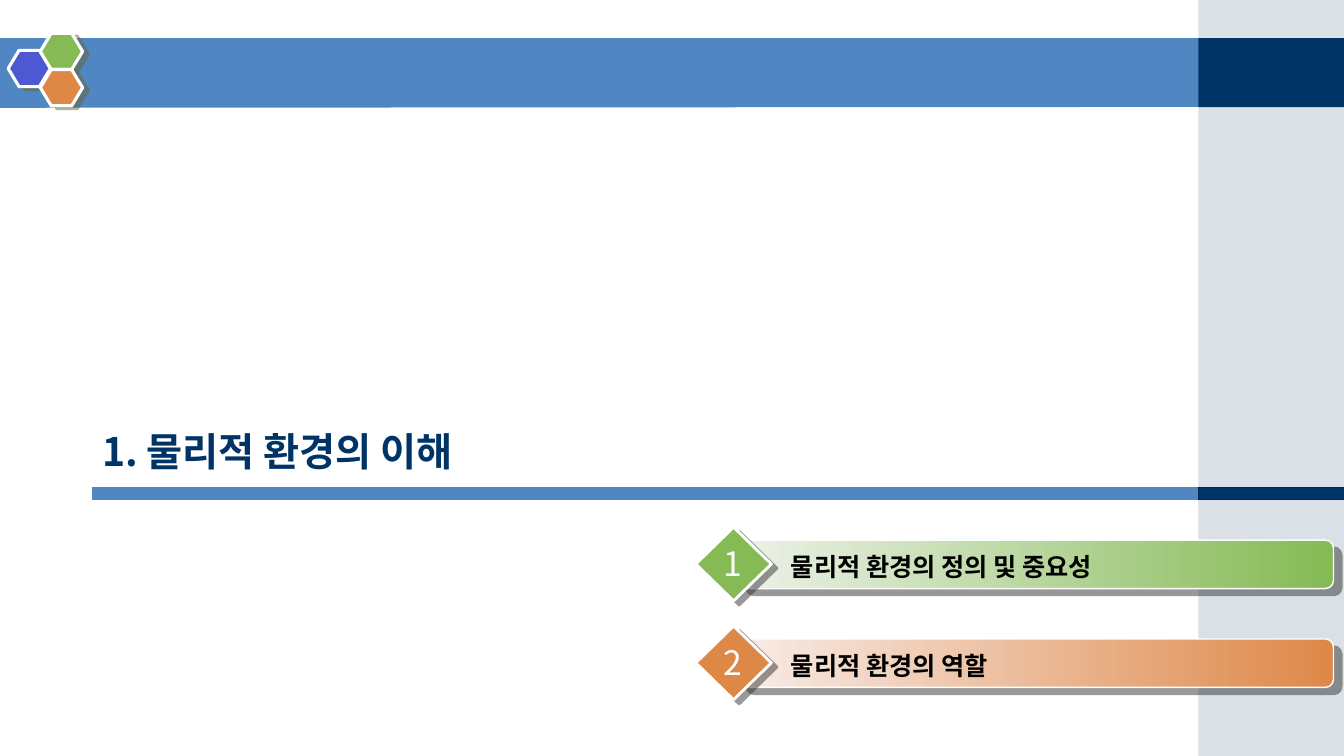
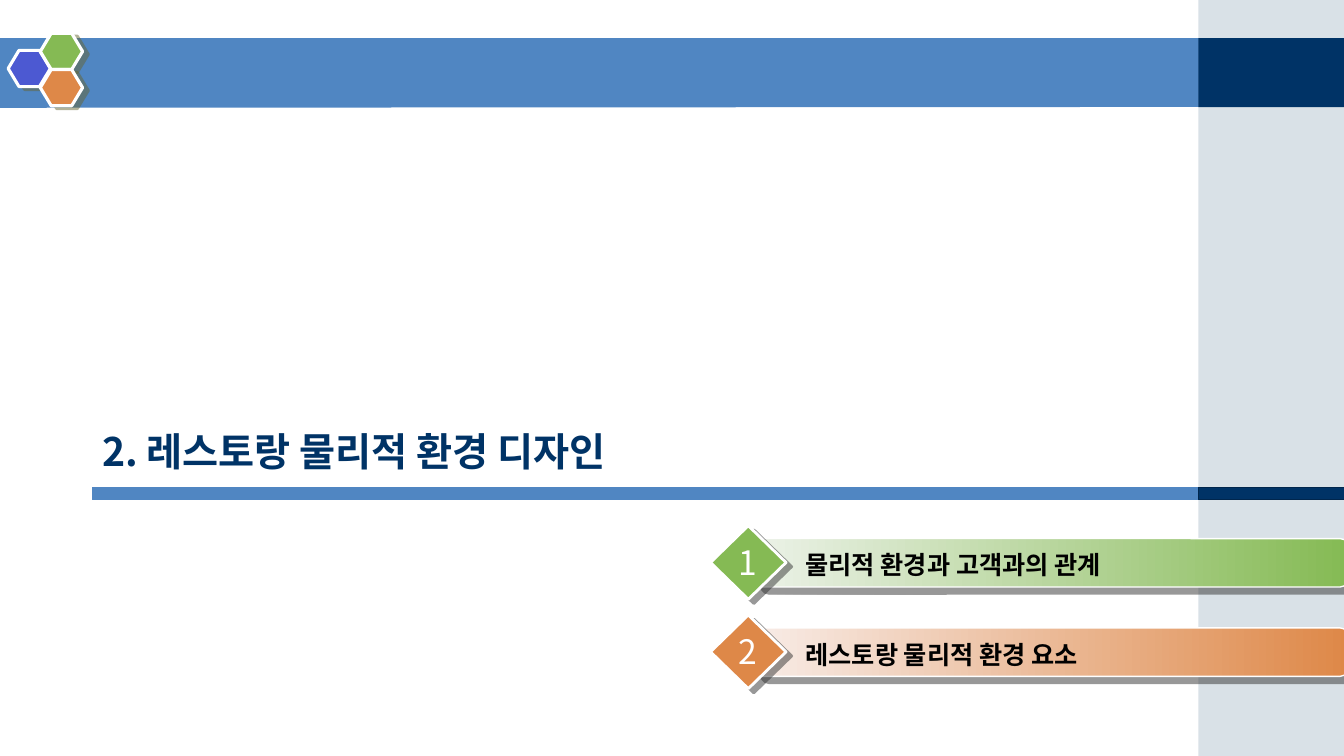
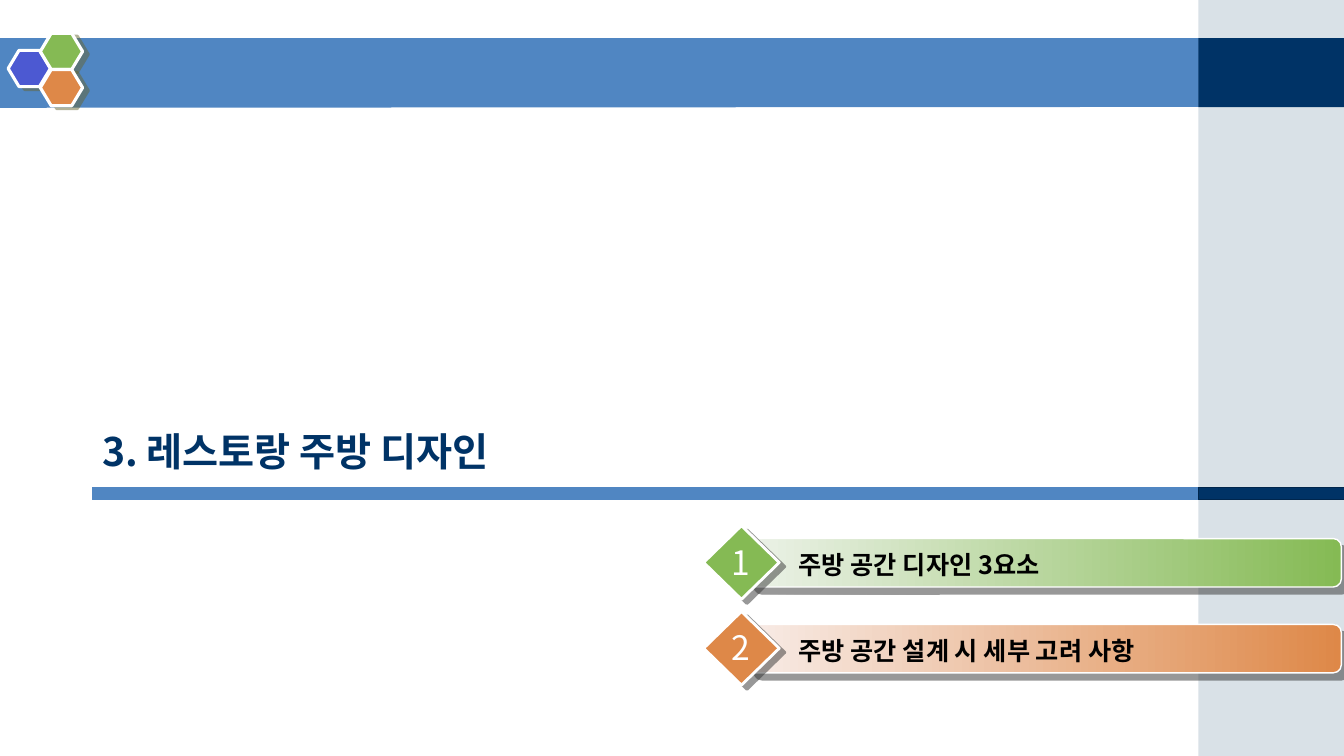
import pptx
import pptx.util
import pptx.dml.color
import pptx.enum.shapes
import pptx.enum.text
import pptx.oxml.ns
from lxml import etree

Pt = pptx.util.Pt
SHAPE = pptx.enum.shapes.MSO_SHAPE
ALIGN = pptx.enum.text.PP_ALIGN
ANCHOR = pptx.enum.text.MSO_ANCHOR
AUTO_SIZE = pptx.enum.text.MSO_AUTO_SIZE
qn = pptx.oxml.ns.qn

WIDTH, HEIGHT = 960, 540
SIDE_LEFT = 856
FONT = "Noto Sans CJK KR"
COLORS = {
    "blue": "5086C2",
    "navy": "003366",
    "navy_edge": "00264D",
    "side": "A0B5C4",
    "violet": "4C59D2",
    "green": "85BA54",
    "green_pale": "ECF2E8",
    "orange": "DE8848",
    "orange_pale": "F8ECE7",
    "white": "FFFFFF",
    "black": "000000",
    "hexagon_shadow": "666633",
    "item_shadow": "333333",
}

# title, left and top of the first diamond, distance between items, items
SECTIONS = [
    ("1. 물리적 환경의 이해", 497, 376.6, 70.6,
     ["물리적 환경의 정의 및 중요성", "물리적 환경의 역할"]),
    ("2. 레스토랑 물리적 환경 디자인", 507.5, 375.5, 63.8,
     ["물리적 환경과 고객과의 관계", "레스토랑 물리적 환경 요소"]),
    ("3. 레스토랑 주방 디자인", 502.6, 375.5, 61.3,
     ["주방 공간 디자인 3요소", "주방 공간 설계 시 세부 고려 사항"]),
]


def rgb(name):
    return pptx.dml.color.RGBColor.from_string(COLORS[name])


class SectionDeck:
    """Holds the style and the slide being drawn; lengths are in points."""

    def __init__(self):
        self.deck = pptx.Presentation()
        self.deck.slide_width, self.deck.slide_height = Pt(WIDTH), Pt(HEIGHT)
        self.page = None

    def new_page(self):
        self.page = self.deck.slides.add_slide(self.deck.slide_layouts[6])

    def paint(self, shape, fill, line=None, shadow=None, alpha=None):
        """fill is a colour or a pair for a gradient; line is (colour, width);
        shadow is (colour, distance, angle); alpha is a percentage."""
        shape.shadow.inherit = False
        if isinstance(fill, tuple):
            shape.fill.gradient()
            shape.fill.gradient_angle = 0
            for stop, name in zip(shape.fill.gradient_stops, fill):
                stop.color.rgb = rgb(name)
        else:
            shape.fill.solid()
            shape.fill.fore_color.rgb = rgb(fill)
        if line:
            shape.line.color.rgb = rgb(line[0])
            shape.line.width = Pt(line[1])
        else:
            shape.line.fill.background()
        properties = shape._element.spPr
        if alpha:
            color = properties.find(qn("a:solidFill")).find(qn("a:srgbClr"))
            etree.SubElement(color, qn("a:alpha"), val=str(alpha * 1000))
        if shadow:
            name, distance, angle = shadow
            outer = etree.SubElement(
                properties.find(qn("a:effectLst")), qn("a:outerShdw"),
                dist=str(Pt(distance)), dir=str(angle * 60000),
                algn="ctr", rotWithShape="0")
            color = etree.SubElement(outer, qn("a:srgbClr"), val=COLORS[name])
            etree.SubElement(color, qn("a:alpha"), val="50000")

    def shape(self, kind, left, top, width, height, fill, **look):
        shape = self.page.shapes.add_shape(
            kind, Pt(left), Pt(top), Pt(width), Pt(height))
        self.paint(shape, fill, **look)
        return shape

    def text(self, words, left, top, width, height, size, color, bold=False,
             align=ALIGN.LEFT, anchor=ANCHOR.TOP, wrap=True, grow=True):
        box = self.page.shapes.add_textbox(
            Pt(left), Pt(top), Pt(width), Pt(height))
        frame = box.text_frame
        frame.word_wrap = wrap
        frame.auto_size = AUTO_SIZE.SHAPE_TO_FIT_TEXT if grow else AUTO_SIZE.NONE
        frame.vertical_anchor = anchor
        para = frame.paragraphs[0]
        para.alignment = align
        span = para.add_run()
        span.text = words
        span.font.size = Pt(size)
        span.font.bold = bold
        span.font.color.rgb = rgb(color)
        span.font.name = FONT
        etree.SubElement(span.font._element, qn("a:ea"), typeface=FONT)

    def header(self):
        outline = self.page.shapes.build_freeform(Pt(-0.7), Pt(27.3), scale=1.0)
        outline.add_line_segments(
            [(Pt(859.7), Pt(27.3)), (Pt(859), Pt(76.4)), (Pt(-0.7), Pt(77))])
        self.paint(outline.convert_to_shape(), "blue")
        side_width = WIDTH - SIDE_LEFT
        self.shape(SHAPE.RECTANGLE, SIDE_LEFT, 0, side_width, HEIGHT,
                   "side", alpha=40)
        self.shape(SHAPE.RECTANGLE, SIDE_LEFT, 27.3, side_width, 49.2, "navy")
        for left, top, fill in [(5.8, 36, "violet"), (28.8, 23.8, "green"),
                                (28.8, 49.7, "orange")]:
            hexagon = self.shape(
                SHAPE.HEXAGON, left, top, 30.2, 25.9, fill,
                line=("white", 2.25), shadow=("hexagon_shadow", 4.5, 27))
            hexagon.adjustments[0] = 0.3

    def title(self, words):
        self.text(words, 66, 224.6, 828, 118, 28, "navy", bold=True,
                  anchor=ANCHOR.BOTTOM, grow=False)
        self.shape(SHAPE.RECTANGLE, 66, 348, SIDE_LEFT - 66, 9, "blue",
                   line=("blue", 0.75))
        self.shape(SHAPE.RECTANGLE, SIDE_LEFT, 348, 106.5, 9, "navy",
                   line=("navy_edge", 0.75))

    def item(self, number, words, left, top, color):
        """Draws a numbered diamond at left, top with its caption bar."""
        bar_left, bar_top, bar_width = left + 30, top + 9.2, 425.5
        self.shape(SHAPE.ROUNDED_RECTANGLE, bar_left, bar_top, bar_width, 34.6,
                   (color + "_pale", color), line=("white", 1),
                   shadow=("item_shadow", 7.8, 40))
        self.shape(SHAPE.DIAMOND, left, top, 54, 52.6, color,
                   line=("white", 2), shadow=("item_shadow", 5, 37))
        self.text(words, bar_left + 30.8, bar_top + 4.3, bar_width, 29,
                  18, "black", bold=True)
        self.text(str(number), left + 12.6, top + 7.7, 26.6, 35.3,
                  24, "white", align=ALIGN.CENTER, wrap=False)


def main():
    section = SectionDeck()
    for title, left, top, pitch, items in SECTIONS:
        section.new_page()
        section.header()
        section.title(title)
        for index, (words, color) in enumerate(zip(items, ("green", "orange"))):
            section.item(index + 1, words, left, top + index * pitch, color)
    section.deck.save("out.pptx")


if __name__ == "__main__":
    main()
